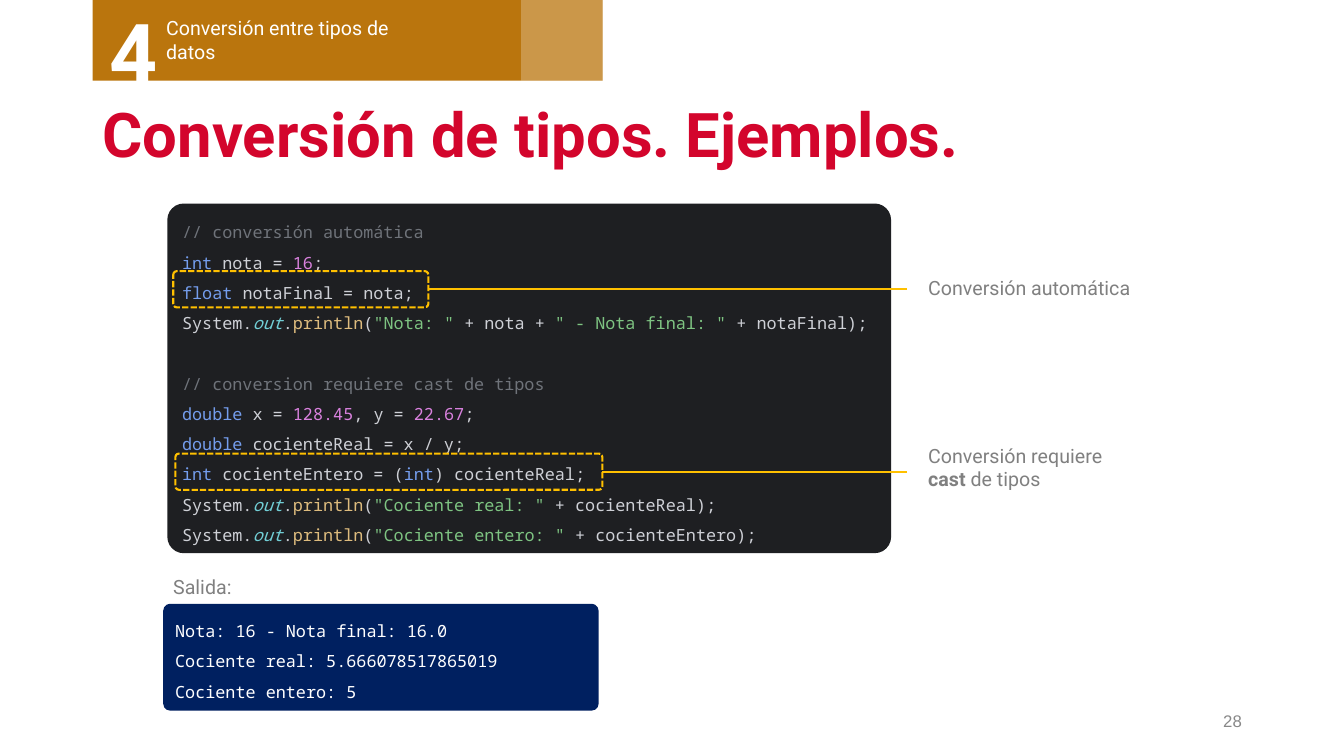
import copy

import pptx
import pptx.util
import pptx.dml.color
import pptx.enum.dml
import pptx.enum.shapes
import pptx.enum.text
import pptx.oxml.ns
from lxml import etree

Pt = pptx.util.Pt
SHAPE = pptx.enum.shapes.MSO_SHAPE
ANCHOR = pptx.enum.text.MSO_ANCHOR
ALIGN = pptx.enum.text.PP_ALIGN
qn = pptx.oxml.ns.qn

MONO = "Noto Sans Mono"
COLORS = {
    "white": "FFFFFF", "title": "D3052C", "bar": "BA750D", "grey": "808080",
    "number": "888888", "output": "002060", "editor": "1E1F22", "mark": "FFC000",
    "comment": "6F737A", "keyword": "749DED", "plain": "CED0D6", "literal": "D981DE",
    "field": "72CFD6", "method": "DEBC7E", "string": "7EC482",
}


def rgb(name):
    return pptx.dml.color.RGBColor.from_string(COLORS[name])


def println(*args):
    return [("System.", "plain"), ("out", "field"), (".", "plain"),
            ("println", "method"), ("(", "plain"), *args]


CODE = [
    [("// conversión automática", "comment")],
    [("int ", "keyword"), ("nota = ", "plain"), ("16", "literal"), (";", "plain")],
    [("float ", "keyword"), ("notaFinal = nota;", "plain")],
    println(('"Nota: " ', "string"), ("+ nota + ", "plain"),
            ('" - Nota final: " ', "string"), ("+ notaFinal);", "plain")),
    [],
    [("// conversion requiere cast de tipos", "comment")],
    [("double ", "keyword"), ("x = ", "plain"), ("128.45", "literal"),
     (", y = ", "plain"), ("22.67", "literal"), (";", "plain")],
    [("double ", "keyword"), ("cocienteReal = x / y;", "plain")],
    [("int ", "keyword"), ("cocienteEntero = (", "plain"), ("int", "keyword"),
     (") cocienteReal;", "plain")],
    println(('"Cociente real: " ', "string"), ("+ cocienteReal);", "plain")),
    println(('"Cociente entero: " ', "string"), ("+ cocienteEntero);", "plain")),
]
OUTPUT = ["Nota: 16 - Nota final: 16.0", "Cociente real: 5.666078517865019",
          "Cociente entero: 5"]


def add_run(p, text, size, color, font="Roboto", bold=False, italic=False):
    r = p.add_run()
    r.text = text
    r.font.size, r.font.name = Pt(size), font
    r.font.bold, r.font.italic = bold, italic
    r.font.color.rgb = rgb(color)
    return r


def set_frame(sp, anchor=ANCHOR.TOP, wrap=True):
    tf = sp.text_frame
    tf.word_wrap, tf.vertical_anchor = wrap, anchor
    return tf


def add_text(s, box, text, size=14, color="grey", bold=False, anchor=ANCHOR.TOP,
             align=ALIGN.LEFT, spacing=None):
    sp = s.shapes.add_textbox(*map(Pt, box))
    p = set_frame(sp, anchor).paragraphs[0]
    p.alignment, p.line_spacing = align, spacing
    add_run(p, text, size, color, bold=bold)
    return p


def add_box(s, box, fill=None, kind=SHAPE.RECTANGLE, radius=None):
    sp = s.shapes.add_shape(kind, *map(Pt, box))
    sp.shadow.inherit = False
    sp.line.fill.background()
    if radius is not None:
        sp.adjustments[0] = radius
    if fill:
        sp.fill.solid()
        sp.fill.fore_color.rgb = rgb(fill)
    else:
        sp.fill.background()
    return sp


def section_header(s, x, y, w, h):
    add_box(s, (x, y, w, h), "bar")
    add_text(s, (x + 45.4, y + 7.9, 198, 41), "Conversión entre tipos de datos",
             color="white")
    add_text(s, (x + 5.1, y - 2.9, 80.6, 79.9), "4", size=60, color="white", bold=True)
    tint = add_box(s, (x + w - 58.3, y, 58.3, h), "white")
    color = tint.fill._xPr.find(".//" + qn("a:srgbClr"))
    etree.SubElement(color, qn("a:alpha"), val="25000")


def code_panel(s, x, y, w, h):
    sp = add_box(s, (x, y, w, h), "editor", SHAPE.ROUNDED_RECTANGLE, 0.047)
    p = set_frame(sp, ANCHOR.MIDDLE, wrap=False).paragraphs[0]
    p.alignment, p.line_spacing = ALIGN.LEFT, 1.5
    for i, line in enumerate(CODE):
        if i:
            p.add_line_break()
        for text, kind in line:
            add_run(p, text, 12, kind, MONO, italic=kind == "field")
    # Breaks take the code font, so that the empty line is as tall as the others
    for br in p._p.findall(qn("a:br")):
        br.append(copy.deepcopy(p.runs[0].font._element))


def output_panel(s, x, y, w, h):
    add_text(s, (x, y - 24.5, 159.1, 24.5), "Salida:")
    sp = add_box(s, (x, y, w, h), "output", SHAPE.ROUNDED_RECTANGLE, 0.064)
    tf = set_frame(sp)
    for i, line in enumerate(OUTPUT):
        p = tf.add_paragraph() if i else tf.paragraphs[0]
        p.alignment, p.line_spacing = ALIGN.LEFT, 1.5
        add_run(p, line, 12, "white", MONO)


def callout(s, x, y, w, h, label_top, label_h, text):
    """Frame a line of code and lead from it to a label; return the label's paragraph."""
    frame = add_box(s, (x, y, w, h), kind=SHAPE.ROUNDED_RECTANGLE, radius=0.099)
    line = s.shapes.add_connector(pptx.enum.shapes.MSO_CONNECTOR.STRAIGHT,
                                  Pt(648), Pt(y + h / 2), Pt(x + w), Pt(y + h / 2))
    line.end_connect(frame, 3)
    etree.SubElement(line._element.spPr, qn("a:effectLst"))
    for sp in (frame, line):
        sp.line.color.rgb = rgb("mark")
        sp.line.width = Pt(1.5)
    frame.line.dash_style = pptx.enum.dml.MSO_LINE.SQUARE_DOT
    return add_text(s, (655.9, label_top, 159.1, label_h), text)


def main():
    prs = pptx.Presentation()
    prs.slide_width, prs.slide_height = Pt(960), Pt(540)
    s = prs.slides.add_slide(prs.slide_layouts[6])
    add_text(s, (66.2, 67, 828, 61.9), "Conversión de tipos. Ejemplos.", size=44,
             color="title", bold=True, anchor=ANCHOR.MIDDLE, spacing=0.9)
    add_text(s, (678.2, 500.4, 216, 28.8), "28", size=12, color="number",
             anchor=ANCHOR.MIDDLE, align=ALIGN.RIGHT).runs[0].font.name = "Arial"
    section_header(s, 66.2, 0, 364.3, 57.6)
    output_panel(s, 116.6, 431.3, 311, 76.3)
    code_panel(s, 119.5, 145.4, 517, 249.8)
    callout(s, 123.8, 193.7, 182.2, 25.9, 193.7, 24.5, "Conversión automática")
    p = callout(s, 125.3, 324, 305, 25.9, 313.2, 41, "Conversión requiere ")
    add_run(p, "cast", 14, "grey", bold=True)
    add_run(p, " de tipos", 14, "grey")
    prs.save("out.pptx")


if __name__ == "__main__":
    main()
